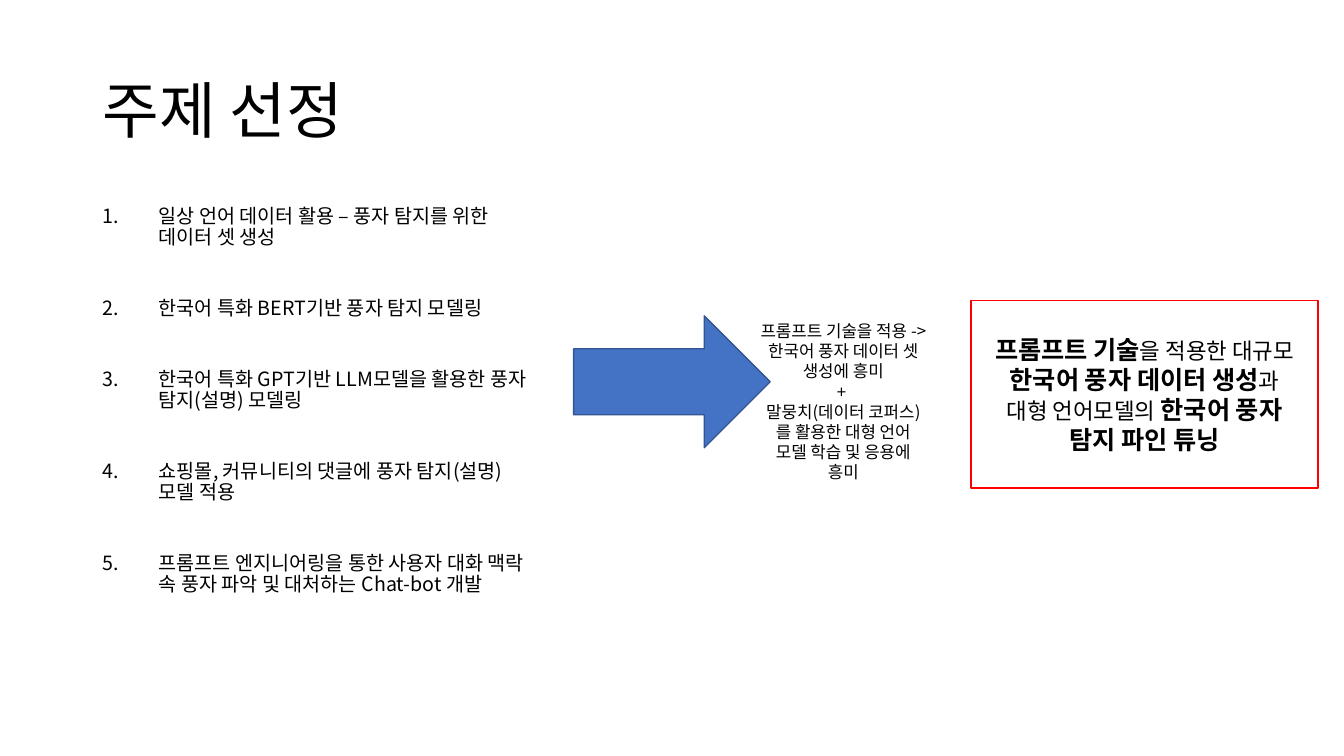
from pptx import Presentation
from pptx import util as u
from pptx.dml.color import RGBColor
from pptx.enum import shapes, text
from pptx.oxml import ns
from lxml import etree

COLORS = {"ink": "000000", "paper": "FFFFFF", "arrow": "4472C4",
          "arrow_edge": "325491", "frame": "FF0000"}
FONT = "Noto Sans CJK KR"
COLS, ROWS = 16, 9

TOPICS = [
    "일상 언어 데이터 활용 – 풍자 탐지를 위한 데이터 셋 생성",
    "한국어 특화 BERT기반 풍자 탐지 모델링",
    "한국어 특화 GPT기반 LLM모델을 활용한 풍자 탐지(설명) 모델링",
    "쇼핑몰, 커뮤니티의 댓글에 풍자 탐지(설명) 모델 적용",
    "프롬프트 엔지니어링을 통한 사용자 대화 맥락 속 풍자 파악 및 대처하는 Chat-bot 개발",
]
INTERESTS = ("프롬프트 기술을 적용 -> 한국어 풍자 데이터 셋 생성에 흥미\v+ \v"
             "말뭉치(데이터 코퍼스)를 활용한 대형 언어 모델 학습 및 응용에 흥미")
CONCLUSION = [
    [("프롬프트 기술", True), ("을 적용한 대규모 ", False),
     ("한국어 풍자 데이터 생성", True), ("과", False)],
    [("대형 언어모델의 ", False), ("한국어 풍자 탐지 파인 튜닝", True)],
]


class Deck:
    def __init__(self):
        self.prs = Presentation()
        self.prs.slide_width = u.Inches(13.33)
        self.prs.slide_height = u.Inches(7.5)
        self.s = self.prs.slides.add_slide(self.prs.slide_layouts[6])

    def grid(self, col, row, cols, rows):
        w, h = self.prs.slide_width / COLS, self.prs.slide_height / ROWS
        return [round(v) for v in (col * w, row * h, cols * w, rows * h)]

    def style(self, r, size, bold=False):
        r.font.name = FONT
        r.font.size = u.Pt(size)
        r.font.bold = bold
        r.font.color.rgb = RGBColor.from_string(COLORS["ink"])
        ea = etree.SubElement(r.font._element, ns.qn("a:ea"))
        ea.set("typeface", FONT)

    def textbox(self, place, lines, size, spacing=None, align=None):
        tf = self.s.shapes.add_textbox(*self.grid(*place)).text_frame
        tf.word_wrap = True
        for i, line in enumerate(lines):
            p = tf.add_paragraph() if i else tf.paragraphs[0]
            p.text = line
            p.line_spacing = spacing
            p.alignment = align
            for r in p.runs:
                self.style(r, size)
        return tf

    def numbered(self, place, lines, size, gap):
        tf = self.textbox(place, lines, size, 0.9)
        for i, p in enumerate(tf.paragraphs):
            p.space_before = u.Pt(gap if i else 0)
            pPr = p._p.get_or_add_pPr()
            pPr.set("marL", str(u.Inches(0.56)))
            pPr.set("indent", str(-u.Inches(0.56)))
            bu = etree.SubElement(pPr, ns.qn("a:buAutoNum"))
            bu.set("type", "arabicPeriod")

    def shape(self, kind, place, fill, line):
        sp = self.s.shapes.add_shape(kind, *self.grid(*place))
        sp.shadow.inherit = False
        sp.fill.solid()
        sp.fill.fore_color.rgb = RGBColor.from_string(COLORS[fill])
        sp.line.color.rgb = RGBColor.from_string(COLORS[line])
        sp.line.width = u.Pt(1)
        return sp

    def framed(self, place, lines):
        sp = self.shape(shapes.MSO_SHAPE.RECTANGLE, place, "paper", "frame")
        tf = sp.text_frame
        tf.word_wrap = True
        tf.vertical_anchor = text.MSO_ANCHOR.MIDDLE
        for i, parts in enumerate(lines):
            p = tf.add_paragraph() if i else tf.paragraphs[0]
            p.alignment = text.PP_ALIGN.CENTER
            for words, bold in parts:
                r = p.add_run()
                r.text = words
                self.style(r, 18 if bold else 16, bold)


def main():
    deck = Deck()
    title = deck.textbox((1.1, 0.48, 13.8, 1.74), ["주제 선정"], 44, 0.9)
    title.vertical_anchor = text.MSO_ANCHOR.MIDDLE
    deck.numbered((1.1, 2.4, 5.34, 5.23), TOPICS, 14, 35.5)
    deck.shape(shapes.MSO_SHAPE.RIGHT_ARROW, (6.83, 3.76, 2.34, 1.57),
               "arrow", "arrow_edge")
    deck.textbox((8.93, 3.76, 2.22, 2.06), [INTERESTS], 12,
                 align=text.PP_ALIGN.CENTER)
    deck.framed((11.56, 3.58, 4.13, 2.23), CONCLUSION)
    deck.prs.save("out.pptx")


if __name__ == "__main__":
    main()
